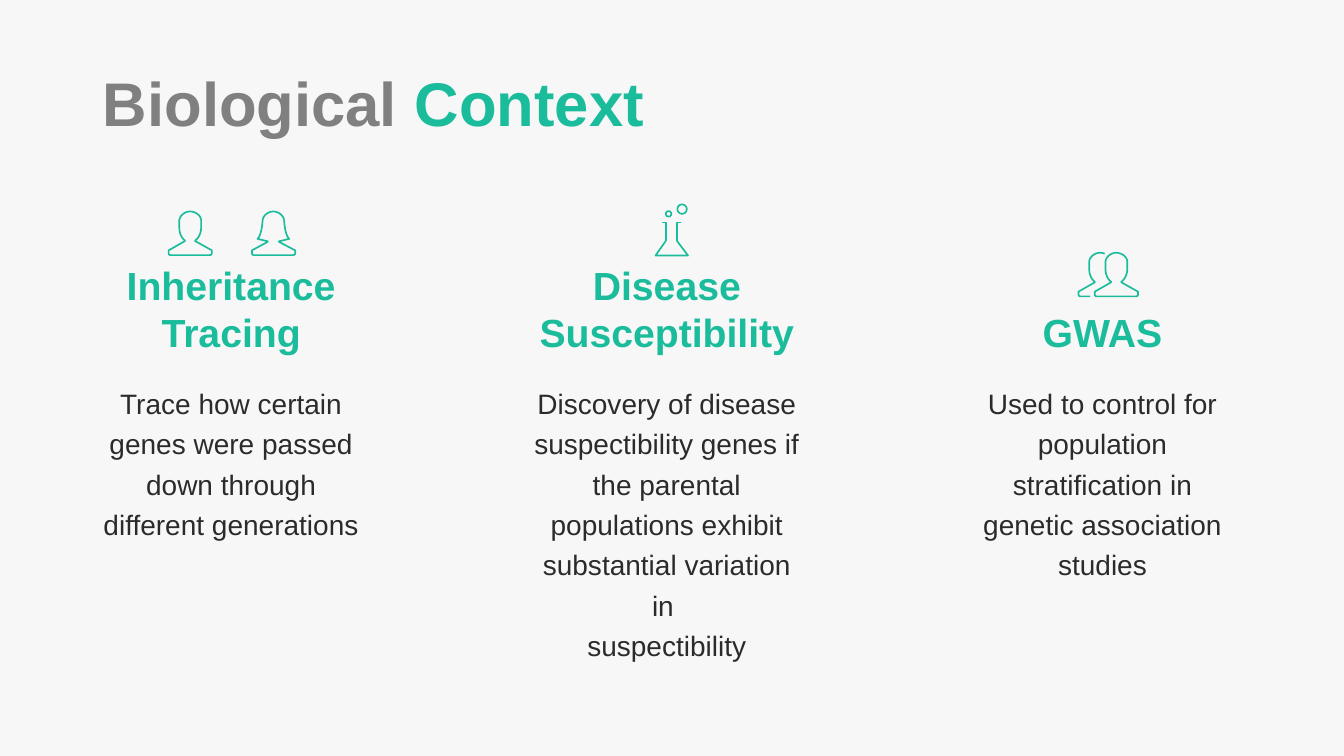
from lxml import etree
from pptx import Presentation
from pptx import util as u
from pptx.dml import color
from pptx.enum import text

GREEN, GREY, INK, PAPER = "1ABC9C", "808080", "2B2B2B", "F7F7F7"

# Column grid, in cm
LEFT, PITCH, WIDTH = 2.34, 10.98, 7.22
HEADING_BOTTOM, BODY_TOP = 9.09, 9.45


def rgb(hex_code):
    return color.RGBColor.from_string(hex_code)


def add_text(paragraph, words, *, size, ink, bold=False, align=None, spacing=None):
    if align is not None:
        paragraph.alignment = align
    if spacing is not None:
        paragraph.line_spacing = spacing
    run = paragraph.add_run()
    run.text = words
    run.font.name, run.font.size, run.font.bold = "Arial", u.Pt(size), bold
    run.font.color.rgb = rgb(ink)


def flatten(outline, steps=8):
    """Turn points (2 numbers) and Bezier segments (6 numbers) into plain points."""
    points = []
    for segment in outline:
        if len(segment) == 2:
            points.append(segment)
            continue
        start, controls = points[-1], (segment[:2], segment[2:4], segment[4:])
        for step in range(1, steps + 1):
            t = step / steps
            weights = ((1 - t) ** 3, 3 * t * (1 - t) ** 2, 3 * t * t * (1 - t), t ** 3)
            points.append(tuple(
                sum(w * p[axis] for w, p in zip(weights, (start, *controls)))
                for axis in (0, 1)))
    return points


class SlideBuilder:
    stroke = 1.2

    def __init__(self, deck):
        self.slide = deck.slides.add_slide(deck.slide_layouts[5])
        background = self.slide.background.fill
        background.solid()
        background.fore_color.rgb = rgb(PAPER)

    def title(self, parts):
        title = self.slide.shapes.title
        title.left, title.top, title.width, title.height = map(
            u.Cm, (2.34, 1.83, 23.5, 1.7))
        title.fill.solid()
        title.fill.fore_color.rgb = rgb(PAPER)
        frame = title.text_frame
        frame.auto_size = text.MSO_AUTO_SIZE.NONE
        frame.vertical_anchor = text.MSO_ANCHOR.MIDDLE
        for words, ink in parts:
            add_text(frame.paragraphs[0], words, size=44, ink=ink, bold=True,
                     align=text.PP_ALIGN.LEFT, spacing=0.9)

    def text_box(self, left, top, height, paragraphs, anchor, **style):
        box = self.slide.shapes.add_textbox(*map(u.Cm, (left, top, WIDTH, height)))
        frame = box.text_frame
        frame.word_wrap = True
        frame.margin_left = 0
        frame.vertical_anchor = anchor
        for i, words in enumerate(paragraphs):
            paragraph = frame.add_paragraph() if i else frame.paragraphs[0]
            add_text(paragraph, words, align=text.PP_ALIGN.CENTER, **style)

    def icon(self, left, top, outlines, circles=()):
        group = self.slide.shapes.add_group_shape()
        for outline in outlines:
            first, *rest = [(u.Cm(left + x), u.Cm(top + y)) for x, y in flatten(outline)]
            builder = group.shapes.build_freeform(*first)
            builder.add_line_segments(rest, close=False)
            self.outline_only(builder.convert_to_shape())
        for x, y, size in circles:
            self.outline_only(group.shapes.add_shape(
                shapes.MSO_SHAPE.OVAL, u.Cm(left + x), u.Cm(top + y), u.Cm(size), u.Cm(size)))

    def outline_only(self, shape):
        shape.shadow.inherit = False
        shape.fill.background()
        shape.line.color.rgb = rgb(GREEN)
        shape.line.width = u.Pt(self.stroke)


from pptx.enum import shapes

# Icon outlines, in cm from the icon's top left corner
LEFT_BASE = [(0.03, 1.0), (0.03, 1.07), (0.03, 1.1, 0.05, 1.12, 0.08, 1.12)]
BASE = LEFT_BASE + [(1.06, 1.12), (1.1, 1.12, 1.12, 1.1, 1.12, 1.07), (1.12, 1.0)]
LEFT_HEAD = [(0.45, 0.76), (0.3, 0.65, 0.3, 0.45, 0.3, 0.43), (0.3, 0.23),
             (0.32, 0.12, 0.44, 0.02, 0.57, 0.02)]
HEAD = LEFT_HEAD + [(0.71, 0.02, 0.84, 0.12, 0.85, 0.23), (0.85, 0.43),
                    (0.85, 0.45, 0.85, 0.65, 0.69, 0.76)]
MAN = [[(0.45, 0.76)] + BASE + [(0.69, 0.76)], HEAD]
MAN_BEHIND = [[(0.45, 0.76)] + LEFT_BASE + [(0.32, 1.12)],
              LEFT_HEAD + [(0.61, 0.02, 0.65, 0.03, 0.69, 0.04)]]
WOMAN = [
    [(0.3, 0.23), (0.3, 0.25, 0.28, 0.62, 0.17, 0.71), (0.38, 0.76),
     (0.44, 0.77, 0.44, 0.78, 0.4, 0.8)] + BASE
    + [(0.74, 0.8), (0.7, 0.78, 0.7, 0.77, 0.76, 0.76), (0.97, 0.71),
       (0.86, 0.62, 0.84, 0.25, 0.84, 0.23)],
    [(0.3, 0.23), (0.32, 0.12, 0.44, 0.02, 0.57, 0.02),
     (0.7, 0.02, 0.82, 0.12, 0.84, 0.23)],
]
FLASK = [[(0.2, 0.48), (0.3, 0.48), (0.3, 0.94)],
         [(0.69, 0.48), (0.58, 0.48), (0.58, 0.94)],
         [(0.3, 0.94), (0.04, 1.31), (0.86, 1.31), (0.58, 0.94)]]
BUBBLES = [(0.59, 0.02, 0.24), (0.3, 0.19, 0.14)]

# Heading, lines it takes, body paragraphs, body height
TOPICS = [
    ("Inheritance Tracing", 2,
     ["Trace how certain genes were passed down through different generations"], 4.37),
    ("Disease Susceptibility", 2,
     ["Discovery of disease suspectibility genes if the parental populations "
      "exhibit substantial variation in ", "suspectibility"], 6.4),
    ("GWAS", 1,
     ["Used to control for population stratification in genetic association studies"],
     4.37),
]


def main():
    deck = Presentation()
    deck.slide_width, deck.slide_height = u.Cm(33.87), u.Cm(19.05)
    page = SlideBuilder(deck)
    page.title([("Biological ", GREY), ("Context", GREEN)])

    # Three topic columns
    for column, (heading, lines, body, body_height) in enumerate(TOPICS):
        left = LEFT + column * PITCH
        height = 0.25 + 1.19 * lines
        page.text_box(left, HEADING_BOTTOM - height, height, [heading],
                      text.MSO_ANCHOR.BOTTOM, size=28, ink=GREEN, bold=True)
        page.text_box(left, BODY_TOP, body_height, body,
                      text.MSO_ANCHOR.TOP, size=20, ink=INK, spacing=1.2)

    # Icons above the headings
    page.icon(4.22, 5.31, MAN)
    page.icon(6.32, 5.31, WOMAN)
    page.icon(16.48, 5.13, FLASK, BUBBLES)
    page.icon(27.15, 6.35, MAN_BEHIND)
    page.icon(27.56, 6.35, MAN)

    deck.save("out.pptx")


if __name__ == "__main__":
    main()
